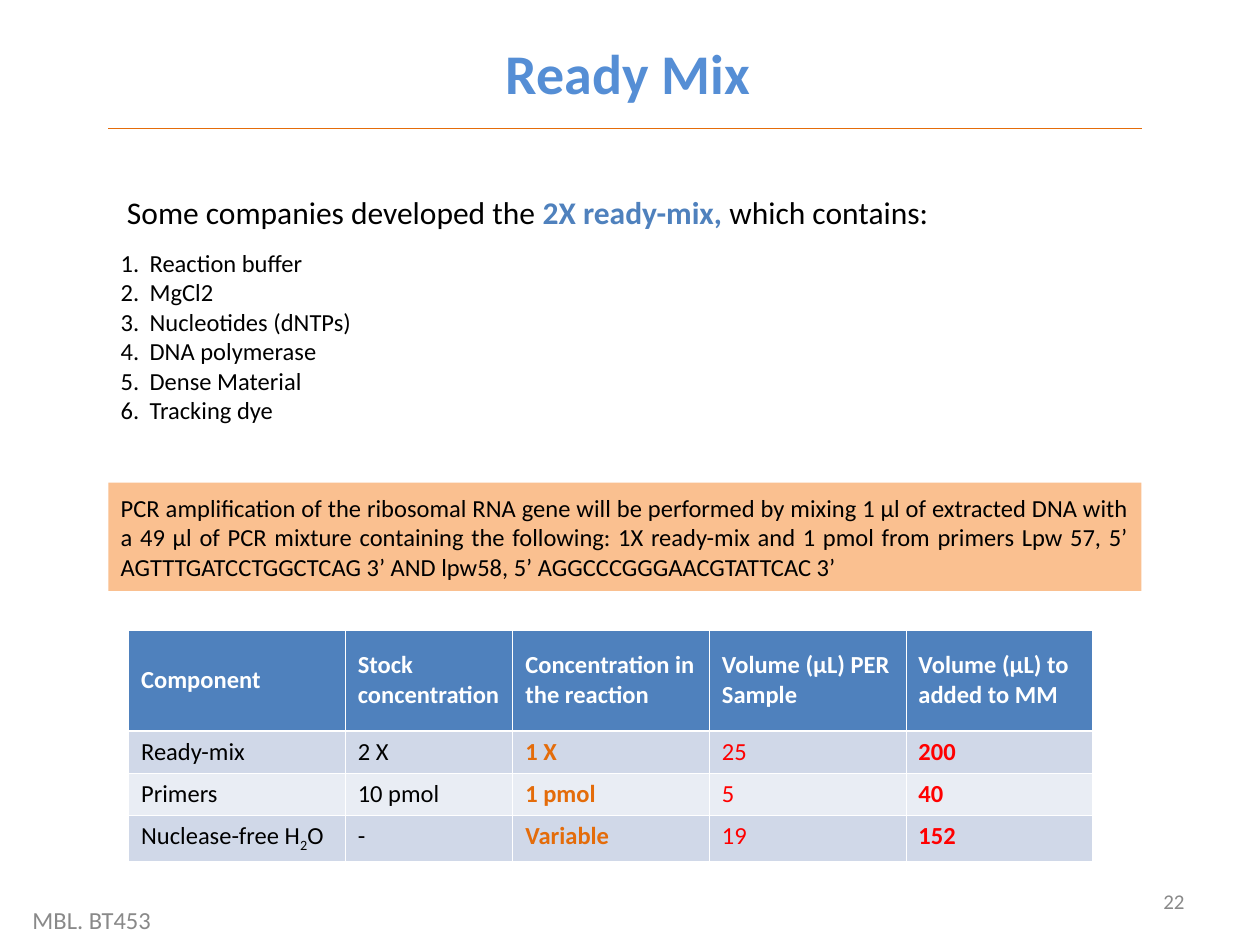
from dataclasses import dataclass

from lxml import etree
from pptx import Presentation
from pptx.dml.color import RGBColor
from pptx.enum.shapes import MSO_CONNECTOR, MSO_SHAPE
from pptx.enum.text import MSO_ANCHOR, PP_ALIGN
from pptx.oxml.ns import qn
from pptx.util import Inches, Pt

LEFT, CENTER, RIGHT, JUSTIFY = (
    PP_ALIGN.LEFT, PP_ALIGN.CENTER, PP_ALIGN.RIGHT, PP_ALIGN.JUSTIFY)
TOP, MIDDLE = MSO_ANCHOR.TOP, MSO_ANCHOR.MIDDLE
RECTANGLE, STRAIGHT = MSO_SHAPE.RECTANGLE, MSO_CONNECTOR.STRAIGHT

# The slide is a grid of 100 columns by 75 rows
WIDTH, HEIGHT = Inches(10), Inches(7.5)
COLUMN, ROW = WIDTH / 100, HEIGHT / 75

FONT = "Calibri"
BLACK, WHITE, GRAY, RED = "000000", "FFFFFF", "898989", "FF0000"
BLUE, TITLE_BLUE, ORANGE, PEACH = "4F81BD", "558ED5", "E46C0A", "FAC090"
BANDS = ("D0D8E8", "E9EDF4")


@dataclass(frozen=True)
class Area:
    left: float
    top: float
    width: float
    height: float

    def box(self) -> tuple[int, int, int, int]:
        return (round(self.left * COLUMN), round(self.top * ROW),
                round(self.width * COLUMN), round(self.height * ROW))


@dataclass(frozen=True)
class Piece:
    text: str
    size: float = 14
    color: str = BLACK
    bold: bool = False
    subscript: bool = False


@dataclass(frozen=True)
class Line:
    pieces: tuple[Piece, ...]
    align: PP_ALIGN = LEFT
    space_before: float = 0
    indent: float = 0
    numbered: bool = False


@dataclass(frozen=True)
class Label:
    area: Area
    lines: tuple[Line, ...]
    anchor: MSO_ANCHOR = MIDDLE


def color(value: str) -> RGBColor:
    return RGBColor.from_string(value)


def apply(target, values: dict) -> None:
    for name, value in values.items():
        setattr(target, name, value)


def paint(target, value: str) -> None:
    target.fill.solid()
    target.fill.fore_color.rgb = color(value)


def write_line(paragraph, line: Line) -> None:
    properties = paragraph._p.get_or_add_pPr()
    indent = round(line.indent * COLUMN)
    if indent:
        properties.set("marL", str(indent))
        properties.set("indent", str(-indent if line.numbered else 0))
    if line.numbered:
        etree.SubElement(properties, qn("a:buFont"), typeface="+mj-lt")
        etree.SubElement(properties, qn("a:buAutoNum"), type="arabicPeriod")
    apply(paragraph, {"alignment": line.align})
    if line.space_before:
        paragraph.space_before = Pt(line.space_before)
    for piece in line.pieces:
        run = paragraph.add_run()
        run.text = piece.text
        apply(run.font, {"name": FONT, "size": Pt(piece.size), "bold": piece.bold})
        run.font.color.rgb = color(piece.color)
        if piece.subscript:
            run._r.get_or_add_rPr().set("baseline", "-25000")


def write_lines(frame, lines: tuple[Line, ...]) -> None:
    for index, line in enumerate(lines):
        write_line(frame.add_paragraph() if index else frame.paragraphs[0], line)


def add_label(slide, label: Label) -> None:
    frame = slide.shapes.add_textbox(*label.area.box()).text_frame
    apply(frame, {"word_wrap": True, "vertical_anchor": label.anchor})
    write_lines(frame, label.lines)


def add_rule(slide, area: Area) -> None:
    left, top, width, height = area.box()
    rule = slide.shapes.add_connector(STRAIGHT, left, top, left + width, top + height)
    rule.line.color.rgb = color(ORANGE)
    rule.line.width = Pt(0.75)
    etree.SubElement(rule._element.spPr, qn("a:effectLst"))


def add_panel(slide, area: Area) -> None:
    panel = slide.shapes.add_shape(RECTANGLE, *area.box())
    paint(panel, PEACH)
    panel.line.fill.background()
    panel.shadow.inherit = False


def add_borders(cell, widths: dict[str, float]) -> None:
    properties = cell._tc.get_or_add_tcPr()
    for index, (side, width) in enumerate(widths.items()):
        border = etree.Element(qn(f"a:{side}"), w=str(Pt(width)))
        fill = etree.SubElement(border, qn("a:solidFill"))
        etree.SubElement(fill, qn("a:srgbClr"), val=WHITE)
        properties.insert(index, border)


def add_mix_table(slide, area: Area, widths, heights, rows) -> None:
    table = slide.shapes.add_table(len(rows), len(widths), *area.box()).table
    for column, width in zip(table.columns, widths):
        column.width = round(width * COLUMN)
    for row, height in zip(table.rows, heights):
        row.height = round(height * ROW)
    for row_index, row in enumerate(rows):
        is_header = row_index == 0
        for column_index, pieces in enumerate(row):
            cell = table.cell(row_index, column_index)
            paint(cell, BLUE if is_header else BANDS[(row_index - 1) % 2])
            cell.vertical_anchor = MIDDLE if is_header else TOP
            write_lines(cell.text_frame, (Line(pieces),))
            add_borders(cell, {"lnL": 0.45, "lnR": 0.45,
                               "lnT": 1.47 if row_index == 1 else 0.45,
                               "lnB": 1.47 if is_header else 0.45})


# Text content
TITLE = Label(Area(9, 3.1, 81.7, 5.3),
              (Line((Piece("Ready Mix", 32, TITLE_BLUE, True),), CENTER),))
PAGE_NUMBER = Label(Area(71.7, 69.5, 23.3, 4),
                    (Line((Piece("22", 12, GRAY),), RIGHT),))
FOOTER = Label(Area(1.6, 71, 35, 4), (Line((Piece("MBL. BT453", 14, GRAY),)),))

INGREDIENTS = ("Reaction buffer", "MgCl2", "Nucleotides (dNTPs)",
               "DNA polymerase", "Dense Material", "Tracking dye")
PROTOCOL = (
    "PCR amplification of the ribosomal RNA gene will be performed by mixing "
    "1 μl of extracted DNA with a 49 μl of PCR mixture containing the following: "
    "1X ready-mix and 1 pmol from primers Lpw 57, 5’ AGTTTGATCCTGGCTCAG 3’ "
    "AND lpw58, 5’ AGGCCCGGGAACGTATTCAC 3’")
BODY = Label(Area(8.6, 14.8, 82, 34), (
    Line((Piece("Some companies developed the ", 18),
          Piece("2X ready-mix, ", 18, BLUE, True),
          Piece("which contains:", 18)), indent=0.5),
    *(Line((Piece(name),), space_before=0 if index else 10, indent=2.3, numbered=True)
      for index, name in enumerate(INGREDIENTS)),
    Line((Piece(PROTOCOL),), JUSTIFY, space_before=39),
), TOP)

# Table content: the header row, then one style per column
HEADERS = ("Component", "Stock concentration", "Concentration in the reaction",
           "Volume (µL) PER Sample", "Volume (µL) to added to MM")
COLUMN_STYLES = ({}, {}, {"color": ORANGE, "bold": True}, {"color": RED},
                 {"color": RED, "bold": True})
WATER = (Piece("Nuclease-free H"), Piece("2", subscript=True), Piece("O"))
COMPONENTS = (
    ((Piece("Ready-mix"),), "2 X", "1 X", "25", "200"),
    ((Piece("Primers"),), "10 pmol", "1 pmol", "5", "40"),
    (WATER, "-", "Variable", "19", "152"),
)


def main() -> None:
    presentation = Presentation()
    apply(presentation, {"slide_width": WIDTH, "slide_height": HEIGHT})
    slide = presentation.slides.add_slide(presentation.slide_layouts[6])

    # Frame of the slide, then the body over its panel
    for label in (PAGE_NUMBER, FOOTER, TITLE):
        add_label(slide, label)
    add_rule(slide, Area(8.6, 10.2, 82, 0))
    add_panel(slide, Area(8.6, 38.3, 82, 8.6))
    add_label(slide, BODY)

    # Reaction mix
    header = [(Piece(text, color=WHITE, bold=True),) for text in HEADERS]
    rows = [[name, *((Piece(text, **style),)
                     for text, style in zip(values, COLUMN_STYLES[1:]))]
            for name, *values in COMPONENTS]
    add_mix_table(slide, Area(10.2, 50, 76.5, 18.3), (17.2, 13.3, 15.6, 15.6, 14.8),
                  (8, 3.3, 3.3, 3.7), [header, *rows])
    presentation.save("out.pptx")


if __name__ == "__main__":
    main()
